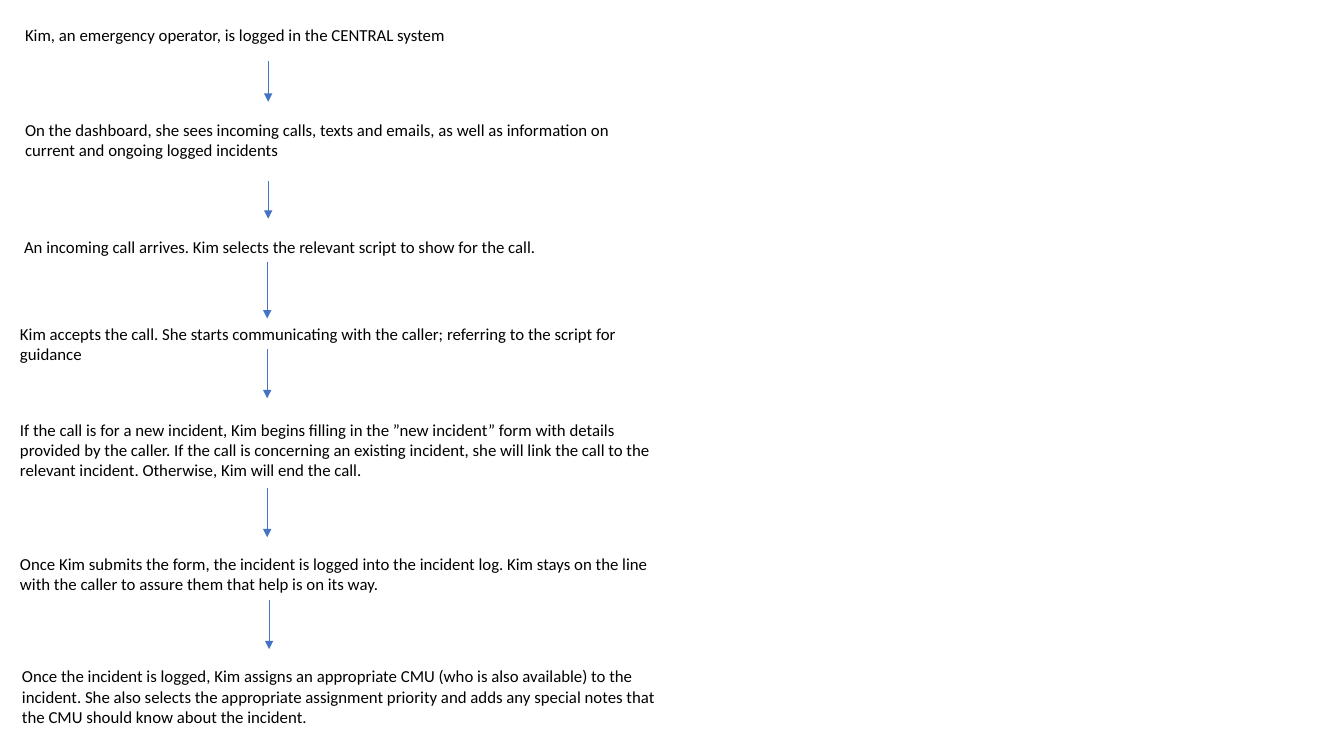
from lxml import etree
from pptx import Presentation
from pptx.dml.color import RGBColor
from pptx.enum.shapes import MSO_CONNECTOR
from pptx.enum.text import MSO_AUTO_SIZE
from pptx.oxml.ns import qn
from pptx.util import Emu, Pt

STRAIGHT = MSO_CONNECTOR.STRAIGHT
GROW = MSO_AUTO_SIZE.SHAPE_TO_FIT_TEXT
SCALE = 9144
INK, BLUE = "000000", "4472C4"
FONT = {"name": "Calibri", "size": Pt(12)}

STEPS = [
    ((15, 20, 441, 50), False,
     "Kim, an emergency operator, is logged in the CENTRAL system"),
    ((15, 114, 602, 50), True,
     "On the dashboard, she sees incoming calls, texts and emails, as well as "
     "information on current and ongoing logged incidents"),
    ((14, 230, 534, 30), False,
     "An incoming call arrives. Kim selects the relevant script to show for the call."),
    ((10, 316, 667, 50), True,
     "Kim accepts the call. She starts communicating with the caller; "
     "referring to the script for guidance"),
    ((10, 411, 667, 71), True,
     "If the call is for a new incident, Kim begins filling in the ”new incident” "
     "form with details provided by the caller. If the call is concerning an existing "
     "incident, she will link the call to the relevant incident. Otherwise, Kim will "
     "end the call."),
    ((10, 544, 667, 50), True,
     "Once Kim submits the form, the incident is logged into the incident log. Kim "
     "stays on the line with the caller to assure them that help is on its way."),
    ((12, 656, 667, 71), True,
     "Once the incident is logged, Kim assigns an appropriate CMU (who is also "
     "available) to the incident. She also selects the appropriate assignment priority "
     "and adds any special notes that the CMU should know about the incident."),
]
ARROWS = [(266, 61, 40), (266, 180, 37), (265, 260, 56),
          (265, 346, 49), (265, 484, 49), (267, 595, 49)]


def px(num):
    """Turn px into EMU."""
    return Emu(num * SCALE)


def tint(code):
    """Turn a hex string into a colour."""
    return RGBColor.from_string(code)


def style(item, values):
    """Set attributes from a dict."""
    for key, value in values.items():
        setattr(item, key, value)


def add_step(slide, box, wrap, text):
    """Write one step of the flow in its box."""
    frame = slide.shapes.add_textbox(*map(px, box)).text_frame
    style(frame, {"word_wrap": wrap, "auto_size": GROW})
    run = frame.paragraphs[0].add_run()
    run.text = text
    style(run.font, FONT)
    run.font.color.rgb = tint(INK)


def add_arrow(slide, left, top, drop):
    """Draw a thin arrow pointing down."""
    ends = map(px, (left, top, left, top + drop))
    arrow = slide.shapes.add_connector(STRAIGHT, *ends)
    arrow.line.width = Pt(0.5)
    arrow.line.color.rgb = tint(BLUE)
    etree.SubElement(arrow.line._get_or_add_ln(), qn("a:tailEnd"), type="triangle")
    etree.SubElement(arrow._element.spPr, qn("a:effectLst"))


def add_flow(slide):
    """Place the steps and the arrows between them."""
    for step in STEPS:
        add_step(slide, *step)
    for arrow in ARROWS:
        add_arrow(slide, *arrow)


def main():
    """Build and save the slide."""
    deck = Presentation()
    style(deck, {"slide_width": px(1333), "slide_height": px(750)})
    add_flow(deck.slides.add_slide(deck.slide_layouts[6]))
    deck.save("out.pptx")


if __name__ == "__main__":
    main()
